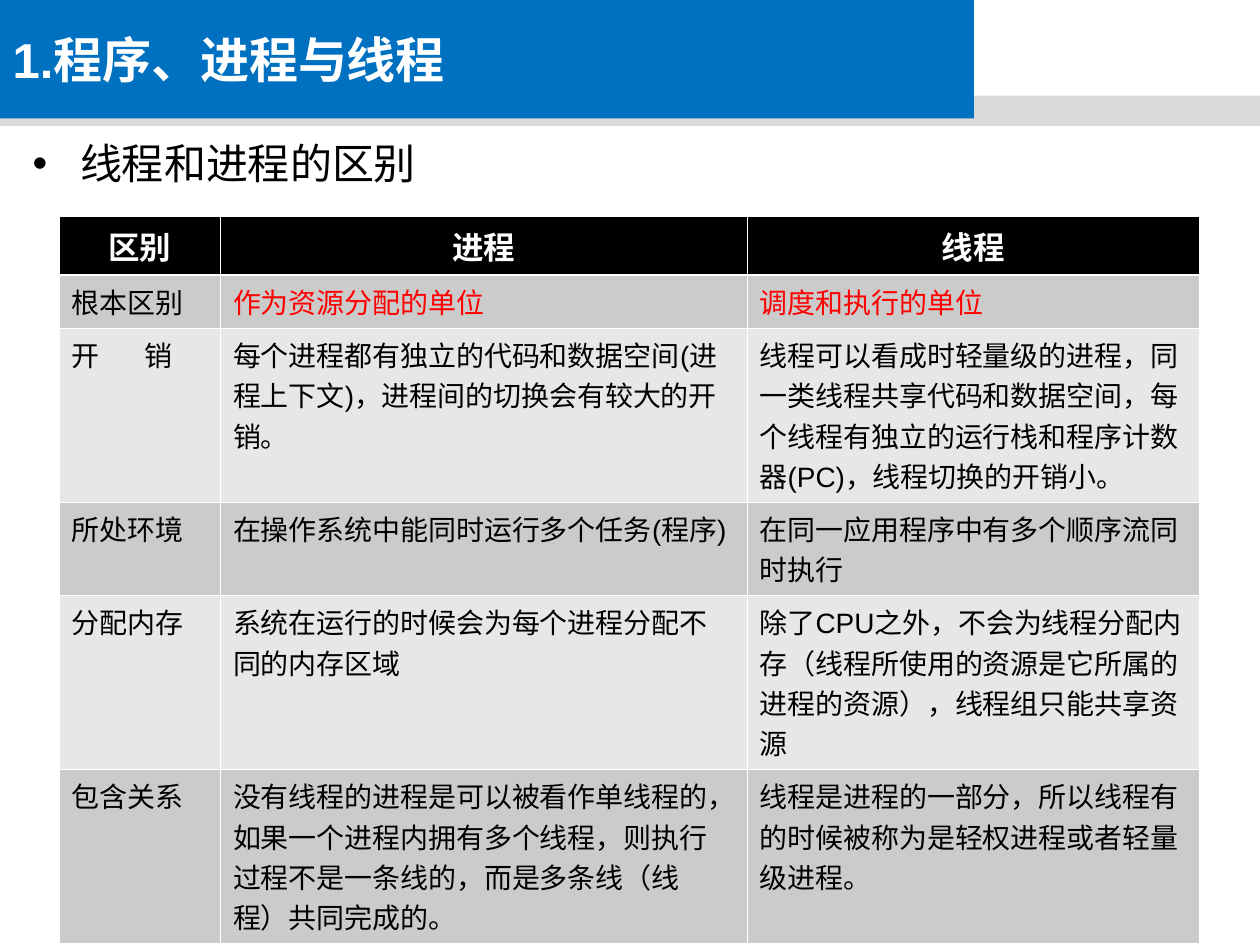
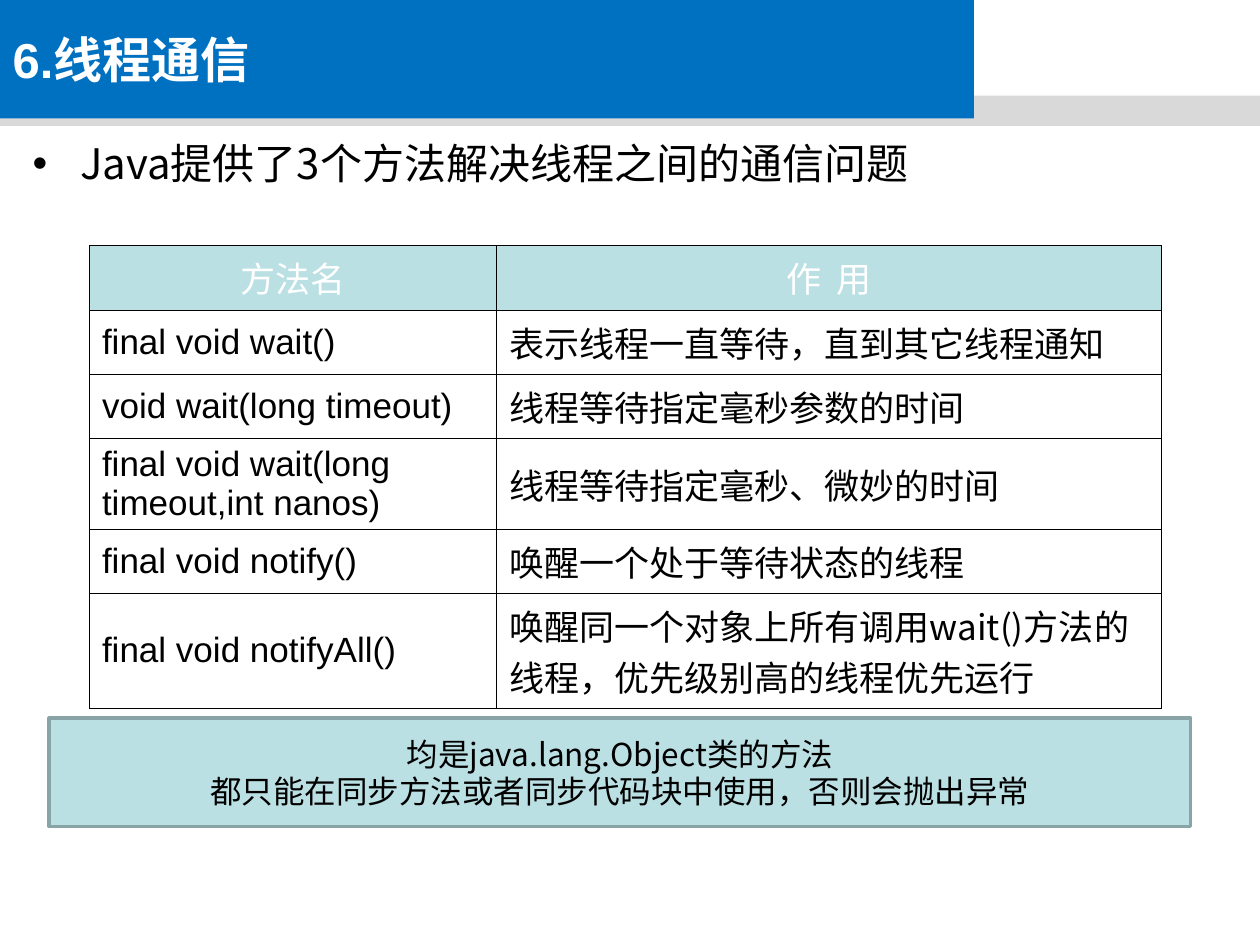
import pptx
import pptx.dml.color
import pptx.enum.shapes
import pptx.enum.text
import pptx.oxml
import pptx.oxml.ns
import pptx.util
from lxml import etree

RGB = pptx.dml.color.RGBColor.from_string
ALIGN = pptx.enum.text.PP_ALIGN
ANCHOR = pptx.enum.text.MSO_ANCHOR
Inches, Pt, qn = pptx.util.Inches, pptx.util.Pt, pptx.oxml.ns.qn

SLIDE_SIZE = (10, 7.5)
BAND_BOX = (0, 0.76, 10, 0.24)
TITLE_BOX = (0, 0, 7.73, 0.94)
BODY_BOX = (0.16, 1.09, 9.61, 5.55)
NOTE_BOX = (0.39, 5.7, 9.06, 0.86)

LATIN, CJK = "Arial", "Noto Sans CJK SC"
THEME = {
    "band": "D9D9D9", "title_fill": "0070C0", "note_fill": "BBE0E3", "note_line": "89A4A7",
    "title": {"size": 28, "name": LATIN, "color": "FFFFFF", "bold": True},
    "body": {"size": 24, "name": CJK, "color": "000000"},
    "note": {"size": 18, "name": CJK, "color": "000000"},
}

DIFFERENCES = {
    "at": (0.47, 1.72),
    "cols": (1.28, 4.18, 3.59),
    "row_heights": (0.46, 0.42, 1.38, 0.74, 1.38, 1.38),
    "rows": [
        ("区别", "进程", "线程"),
        ("根本区别", "作为资源分配的单位", "调度和执行的单位"),
        ("开\t销",
         "每个进程都有独立的代码和数据空间(进程上下文)，进程间的切换会有较大的开销。",
         "线程可以看成时轻量级的进程，同一类线程共享代码和数据空间，每个线程有独立的运行栈和程序计数器(PC)，线程切换的开销小。"),
        ("所处环境", "在操作系统中能同时运行多个任务(程序)", "在同一应用程序中有多个顺序流同时执行"),
        ("分配内存", "系统在运行的时候会为每个进程分配不同的内存区域",
         "除了CPU之外，不会为线程分配内存（线程所使用的资源是它所属的进程的资源），线程组只能共享资源"),
        ("包含关系",
         "没有线程的进程是可以被看作单线程的，如果一个进程内拥有多个线程，则执行过程不是一条线的，而是多条线（线程）共同完成的。",
         "线程是进程的一部分，所以线程有的时候被称为是轻权进程或者轻量级进程。"),
    ],
    "header": {"size": 18, "name": LATIN, "color": "FFFFFF", "bold": True},
    "cell": {"size": 16, "name": LATIN, "color": "000000", "bold": False},
    "highlights": {(1, 1): {"color": "FF0000"}, (1, 2): {"color": "FF0000"}},
    "header_fill": "000000", "row_fills": ("CBCBCB", "E7E7E7"),
    "border": ("FFFFFF", 0.45), "header_rule": ("FFFFFF", 1.47),
    "anchor": ANCHOR.TOP,
}
METHODS = {
    "at": (0.71, 1.95),
    "cols": (3.23, 5.28),
    "row_heights": (0.51, 0.51, 0.51, 0.72, 0.51, 0.91),
    "rows": [
        ("方法名", "作 用"),
        ("final void wait()", "表示线程一直等待，直到其它线程通知"),
        ("void wait(long timeout)", "线程等待指定毫秒参数的时间"),
        ("final void wait(long timeout,int nanos)", "线程等待指定毫秒、微妙的时间"),
        ("final void notify()", "唤醒一个处于等待状态的线程"),
        ("final void notifyAll()", "唤醒同一个对象上所有调用wait()方法的线程，优先级别高的线程优先运行"),
    ],
    "header": {"size": 20, "name": CJK, "color": "FFFFFF", "bold": False},
    "cell": {"size": 20, "name": CJK, "color": "000000", "bold": False},
    "highlights": {(0, 1): {"spacing": 2.25}, **{(r, 0): {"name": LATIN} for r in range(1, 6)}},
    "header_fill": "BBE0E3", "row_fills": ("FFFFFF",),
    "border": ("000000", 0.45), "header_rule": ("000000", 0.45),
    "anchor": ANCHOR.MIDDLE,
}
SLIDES = [
    {"title": "1.程序、进程与线程", "body": "线程和进程的区别", "table": DIFFERENCES},
    {"title": "6.线程通信", "body": "Java提供了3个方法解决线程之间的通信问题", "table": METHODS,
     "note": ["均是java.lang.Object类的方法", "都只能在同步方法或者同步代码块中使用，否则会抛出异常"]},
]
TAB_STOP = 0.58


def set_attrs(obj, **values):
    for name, value in values.items():
        setattr(obj, name, value)


def place(sp, box):
    for name, value in zip(("left", "top", "width", "height"), box):
        setattr(sp, name, Inches(value))


def paint(obj, color):
    obj.fill.solid()
    obj.fill.fore_color.rgb = RGB(color)


def write(tf, lines, style, align=ALIGN.LEFT):
    """Fill a text frame with one styled paragraph per line."""
    for i, line in enumerate(lines):
        p = tf.paragraphs[0] if i == 0 else tf.add_paragraph()
        set_attrs(p, alignment=align, space_before=Pt(0))
        if "\t" in line:
            tabs = etree.SubElement(p._p.get_or_add_pPr(), qn("a:tabLst"))
            etree.SubElement(tabs, qn("a:tab"), pos=str(Inches(TAB_STOP)), algn="l")
        r = p.add_run()
        r.text = line
        set_attrs(r.font, size=Pt(style["size"]), name=style["name"], bold=style.get("bold", False))
        r.font.color.rgb = RGB(style["color"])
        rPr = r._r.get_or_add_rPr()
        etree.SubElement(rPr, qn("a:ea"), typeface=CJK)
        if "spacing" in style:
            rPr.set("spc", str(int(style["spacing"] * 100)))


def add_borders(cell, sides):
    """Draw cell borders; sides maps L, R, T, B to (color, points)."""
    tcPr = cell._tc.get_or_add_tcPr()
    for i, (side, (color, width)) in enumerate(sides.items()):
        ln = etree.Element(qn(f"a:ln{side}"), w=str(Pt(width)))
        fill = etree.SubElement(ln, qn("a:solidFill"))
        etree.SubElement(fill, qn("a:srgbClr"), val=color)
        tcPr.insert(i, ln)


def add_grid(slide, spec_):
    cols, heights, rows = spec_["cols"], spec_["row_heights"], spec_["rows"]
    box = (*spec_["at"], sum(cols), sum(heights))
    table = slide.shapes.add_table(len(rows), len(cols), *map(Inches, box)).table
    for col, width in zip(table.columns, cols):
        col.width = Inches(width)
    for row, height in zip(table.rows, heights):
        row.height = Inches(height)
    fills = spec_["row_fills"]
    for r, row in enumerate(rows):
        is_header = r == 0
        for c, text in enumerate(row):
            cell = table.cell(r, c)
            style = spec_["header" if is_header else "cell"] | spec_["highlights"].get((r, c), {})
            write(cell.text_frame, [text], style, ALIGN.CENTER if is_header else ALIGN.LEFT)
            cell.vertical_anchor = ANCHOR.TOP if is_header else spec_["anchor"]
            paint(cell, spec_["header_fill"] if is_header else fills[(r - 1) % len(fills)])
            sides = dict.fromkeys("LRTB", spec_["border"])
            if r < 2:
                sides["B" if is_header else "T"] = spec_["header_rule"]
            add_borders(cell, sides)


def add_rect(slide, box, fill):
    sp = slide.shapes.add_shape(pptx.enum.shapes.MSO_SHAPE.RECTANGLE, *map(Inches, box))
    sp.shadow.inherit = False
    paint(sp, fill)
    sp.line.fill.background()
    return sp


def add_note(slide, lines):
    sp = add_rect(slide, NOTE_BOX, THEME["note_fill"])
    sp.line.color.rgb = RGB(THEME["note_line"])
    sp.line.width = Pt(2)
    set_attrs(sp.text_frame, word_wrap=True, vertical_anchor=ANCHOR.MIDDLE)
    write(sp.text_frame, lines, THEME["note"], ALIGN.CENTER)


def fill_placeholder(sp, box, text, style, **frame):
    place(sp, box)
    set_attrs(sp.text_frame, word_wrap=True, auto_size=pptx.enum.text.MSO_AUTO_SIZE.NONE, **frame)
    write(sp.text_frame, [text], style)


def build_slide(prs, layout, content):
    slide = prs.slides.add_slide(layout)
    title, body = slide.shapes.title, slide.placeholders[1]
    fill_placeholder(title, TITLE_BOX, content["title"], THEME["title"], vertical_anchor=ANCHOR.MIDDLE)
    paint(title, THEME["title_fill"])
    fill_placeholder(body, BODY_BOX, content["body"], THEME["body"],
                     vertical_anchor=ANCHOR.TOP, margin_top=0)
    add_grid(slide, content["table"])
    if "note" in content:
        add_note(slide, content["note"])
    return slide


def main():
    prs = pptx.Presentation()
    prs.slide_width, prs.slide_height = map(Inches, SLIDE_SIZE)
    layout = prs.slide_layouts[1]
    slides = [build_slide(prs, layout, content) for content in SLIDES]
    # The grey band belongs to the layout, behind every title.
    band = add_rect(slides[0], BAND_BOX, THEME["band"])
    layout.shapes.element.insert(2, band.element)
    prs.save("out.pptx")


if __name__ == "__main__":
    main()
